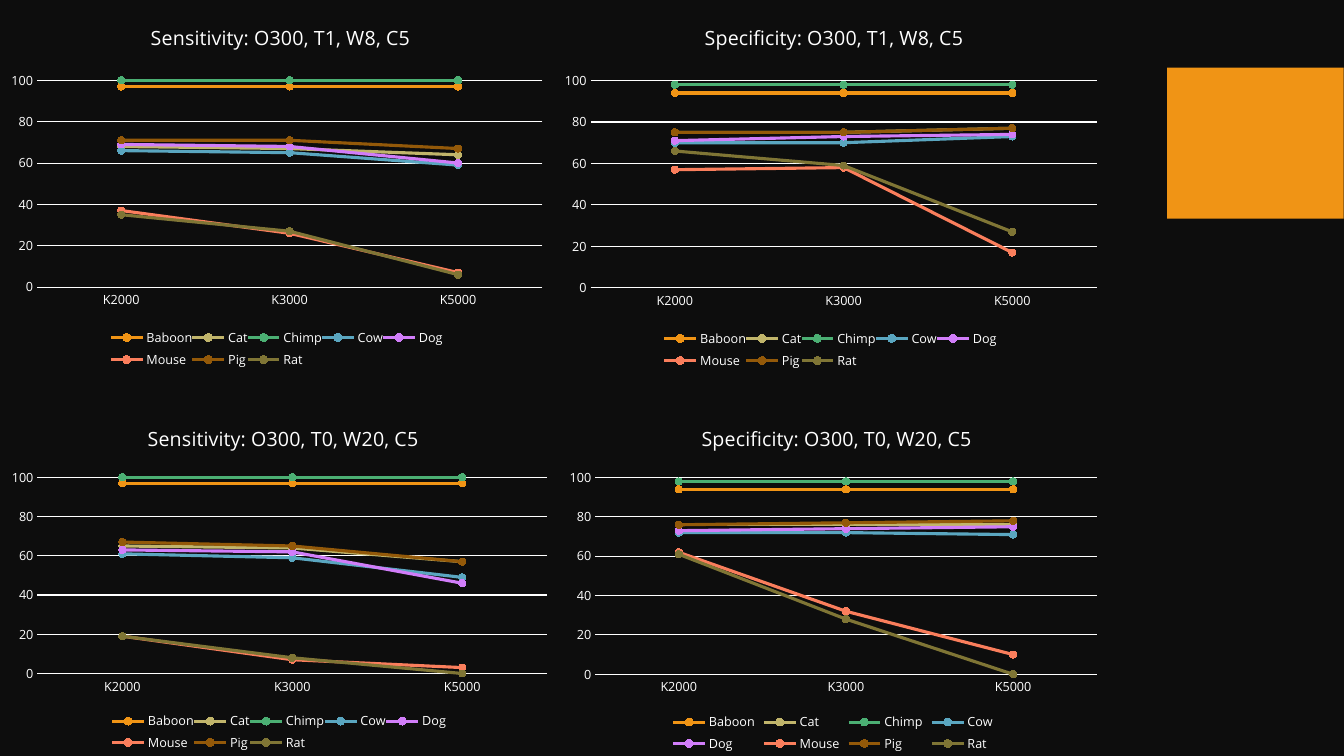
import pptx
import pptx.chart.data
import pptx.dml.color
import pptx.enum.chart
import pptx.enum.shapes
import pptx.oxml
import pptx.util

Pt = pptx.util.Pt
FONT = "Open Sans"
COLOURS = {
    "background": "0D0D0D", "text": "FFFFFF", "accent": "F09415",
    "Baboon": "F09415", "Cat": "C1B56B", "Chimp": "4BAF73", "Cow": "5AA6C0",
    "Dog": "D17DF9", "Mouse": "FA7E5C", "Pig": "935909", "Rat": "7F7535",
}
SPECIES = ["Baboon", "Cat", "Chimp", "Cow", "Dog", "Mouse", "Pig", "Rat"]
CATEGORIES = ["K2000", "K3000", "K5000"]

# Boxes are left, top, width, height in points; value rows follow SPECIES.
CHARTS = [
    ("Sensitivity: O300, T0, W20, C5", (0, 286.56, 398.88, 252.72),
     [(97, 97, 97), (65, 64, 57), (100, 100, 100), (61, 59, 49),
      (63, 62, 46), (19, 7, 3), (67, 65, 57), (19, 8, 0)]),
    ("Specificity: O300, T0, W20, C5", (398.88, 286.56, 392.4, 253.44),
     [(94, 94, 94), (76, 76, 76), (98, 98, 98), (72, 72, 71),
      (73, 74, 75), (62, 32, 10), (76, 77, 78), (61, 28, 0)]),
    ("Sensitivity: O300, T1, W8, C5", (0, 0, 395.28, 266.4),
     [(97, 97, 97), (68, 67, 64), (100, 100, 100), (66, 65, 59),
      (69, 68, 60), (37, 26, 7), (71, 71, 67), (35, 27, 6)]),
    ("Specificity: O300, T1, W8, C5", (395.28, 0, 396, 267.12),
     [(94, 94, 94), (75, 75, 77), (98, 98, 98), (70, 70, 73),
      (71, 73, 74), (57, 58, 17), (75, 75, 77), (66, 59, 27)]),
]


def colour(name):
    """Return the named colour."""
    return pptx.dml.color.RGBColor.from_string(COLOURS[name])


def paint(fill, name):
    """Make a fill solid in the named colour."""
    fill.solid()
    fill.fore_color.rgb = colour(name)


def style_font(font, size):
    """Set white text in the slide's font."""
    font.name, font.size, font.bold = FONT, Pt(size), False
    font.color.rgb = colour("text")


def style_line(line, name, width):
    """Set the colour and width of a line."""
    paint(line.fill, name)
    line.width = Pt(width)


def set_layout(element, position, inner=False):
    """Place a chart part at x, y[, w, h], as fractions of the chart."""
    for old_layout in element.findall(pptx.oxml.ns.qn("c:layout")):
        element.remove(old_layout)
    target = '<c:layoutTarget val="inner"/>' if inner else ""
    modes = '<c:xMode val="edge"/><c:yMode val="edge"/>'
    values = "".join(f'<c:{key} val="{value:.4f}"/>'
                     for key, value in zip("xywh", position))
    layout = pptx.oxml.parse_xml(
        f'<c:layout {pptx.oxml.ns.nsdecls("c")}><c:manualLayout>'
        f'{target}{modes}{values}</c:manualLayout></c:layout>')
    if inner:
        element.insert(0, layout)
    else:
        before = "c:tx" if element.tag.endswith("}title") else "c:legendPos"
        element.find(pptx.oxml.ns.qn(before)).addnext(layout)


def add_title(chart, title, box):
    """Write the centred chart title."""
    chart.has_title = True
    run = chart.chart_title.text_frame.paragraphs[0].add_run()
    run.text = title
    style_font(run.font, 14)
    text_width = 185 if "W8" in title else 193
    set_layout(chart.chart_title._element,
               ((1 - text_width / box[2]) / 2, 13 / box[3]))


def style_axes(chart):
    """Format both axes and the gridlines."""
    for axis in (chart.category_axis, chart.value_axis):
        axis.major_tick_mark = pptx.enum.chart.XL_TICK_MARK.NONE
        axis.minor_tick_mark = pptx.enum.chart.XL_TICK_MARK.NONE
        style_font(axis.tick_labels.font, 9)
    style_line(chart.category_axis.format.line, "text", 0.75)
    values = chart.value_axis
    values.minimum_scale, values.maximum_scale, values.major_unit = 0, 110, 20
    values.format.line.fill.background()
    values.has_major_gridlines = True
    style_line(values.major_gridlines.format.line, "text", 0.75)


def add_species_chart(slide, title, box, rows):
    """Add one line chart of all species in the box."""
    data = pptx.chart.data.CategoryChartData(number_format="0")
    data.categories = CATEGORIES
    for species, values in zip(SPECIES, rows):
        data.add_series(species, values)
    chart = slide.shapes.add_chart(
        pptx.enum.chart.XL_CHART_TYPE.LINE_MARKERS,
        *(Pt(length) for length in box), data).chart
    style_font(chart.font, 10)
    add_title(chart, title, box)
    style_axes(chart)
    chart.plots[0].vary_by_categories = False
    for series in chart.plots[0].series:
        series.smooth = False
        style_line(series.format.line, series.name, 2.25)
        series.marker.style = pptx.enum.chart.XL_MARKER_STYLE.CIRCLE
        series.marker.size = 5
        paint(series.marker.format.fill, series.name)
        style_line(series.marker.format.line, series.name, 0.75)
    chart.has_legend = True
    chart.legend.position = pptx.enum.chart.XL_LEGEND_POSITION.BOTTOM
    chart.legend.include_in_layout = False
    style_font(chart.legend.font, 9)
    set_layout(chart.legend._element, (0.2, 0.87, 0.6, 0.13))
    plot_area = chart._chartSpace.chart.plotArea
    set_layout(plot_area, (0.067, 0.16, 0.913, 0.61), inner=True)


def add_accent(slide, box):
    """Add the plain accent block."""
    block = slide.shapes.add_shape(
        pptx.enum.shapes.MSO_SHAPE.RECTANGLE, *(Pt(length) for length in box))
    block.shadow.inherit = False
    paint(block.fill, "accent")
    block.line.fill.background()


presentation = pptx.Presentation()
presentation.slide_width, presentation.slide_height = Pt(960), Pt(540)
slide = presentation.slides.add_slide(presentation.slide_layouts[6])
paint(slide.background.fill, "background")
add_accent(slide, (833.76, 48.24, 126, 108))
for title, box, rows in CHARTS:
    add_species_chart(slide, title, box, rows)
presentation.save("out.pptx")
